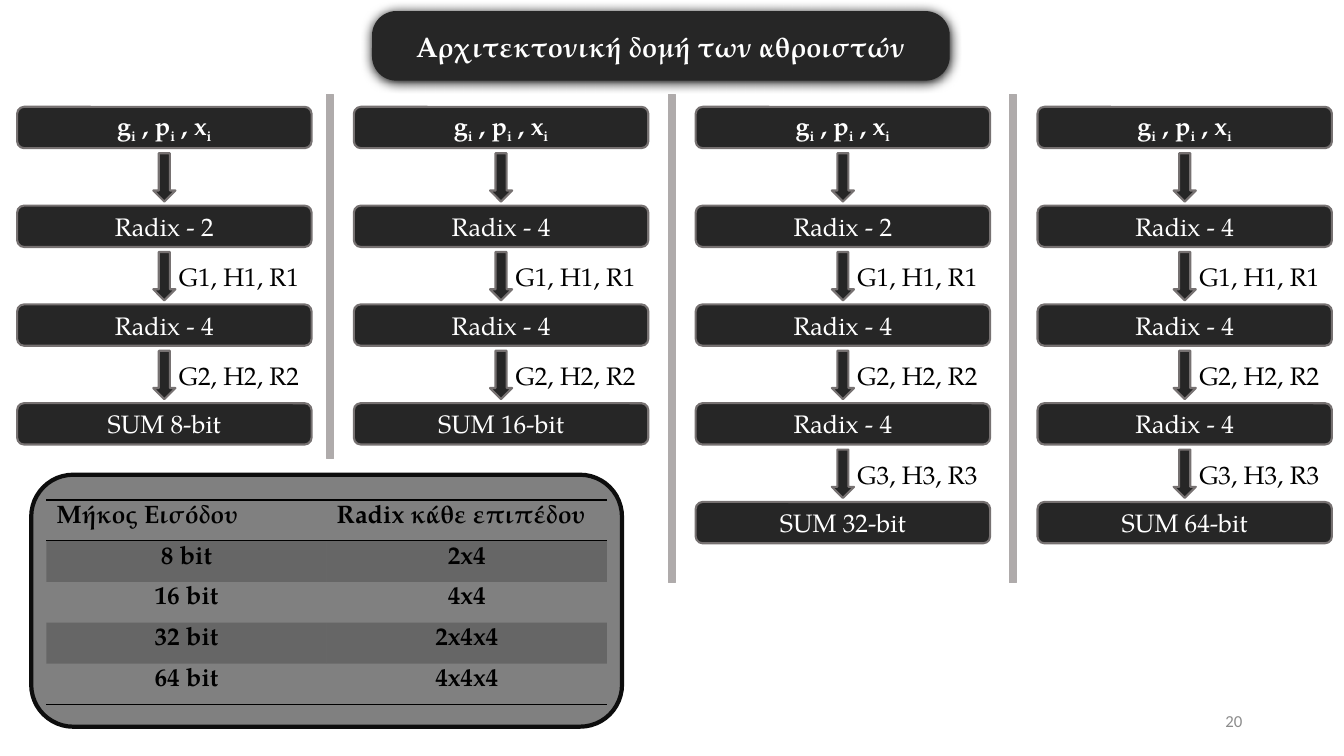
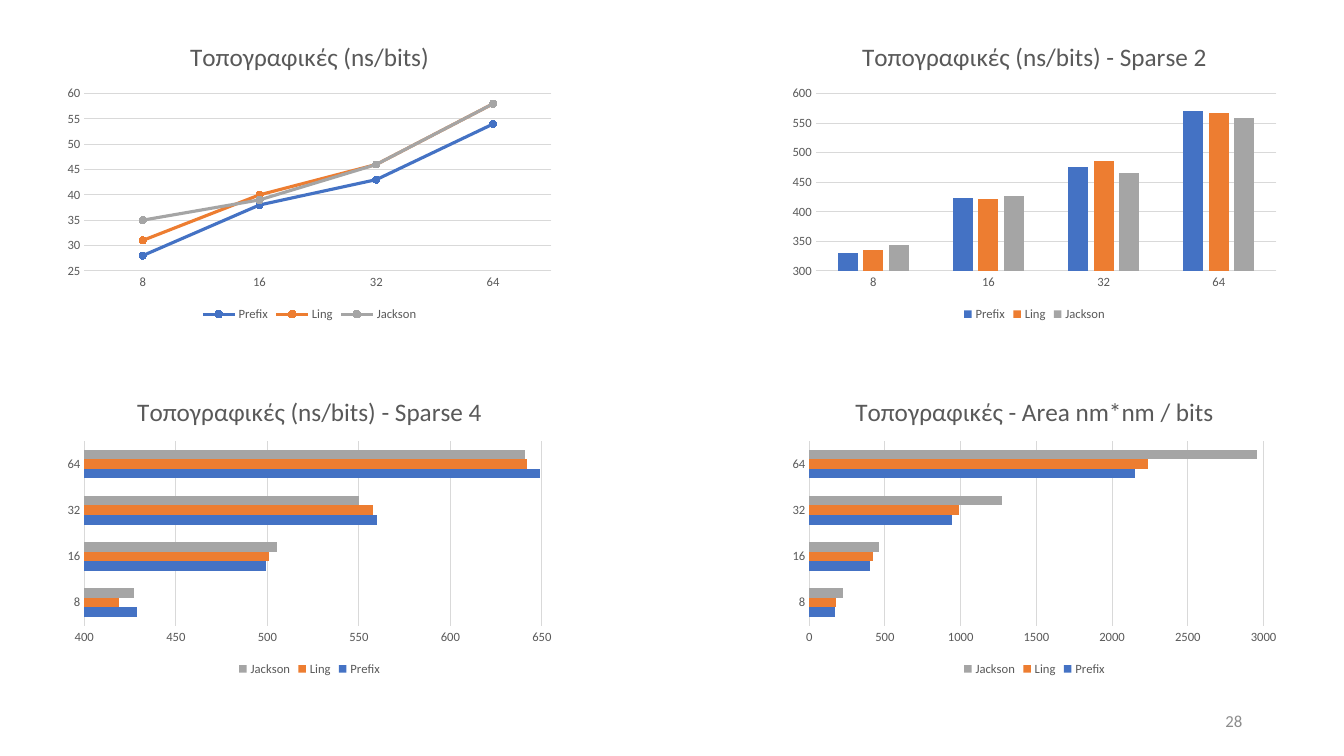
from lxml import etree
from pptx import Presentation
from pptx.chart.data import CategoryChartData
from pptx.dml.color import RGBColor
from pptx.enum.chart import XL_CHART_TYPE, XL_LEGEND_POSITION, XL_MARKER_STYLE, XL_TICK_MARK
from pptx.enum.shapes import MSO_SHAPE
from pptx.enum.text import MSO_ANCHOR, PP_ALIGN
from pptx.oxml.ns import qn
from pptx.util import Pt

PX = 9144  # 100 px to the inch

ROUND_RECT, RECT, DOWN_ARROW = MSO_SHAPE.ROUNDED_RECTANGLE, MSO_SHAPE.RECTANGLE, MSO_SHAPE.DOWN_ARROW
LEFT, CENTER, RIGHT = PP_ALIGN.LEFT, PP_ALIGN.CENTER, PP_ALIGN.RIGHT
MIDDLE = MSO_ANCHOR.MIDDLE
LINE, COLUMN, BAR = (XL_CHART_TYPE.LINE_MARKERS, XL_CHART_TYPE.COLUMN_CLUSTERED,
                     XL_CHART_TYPE.BAR_CLUSTERED)
LEGEND_BOTTOM = XL_LEGEND_POSITION.BOTTOM
CIRCLE = XL_MARKER_STYLE.CIRCLE
NO_TICK = XL_TICK_MARK.NONE

NO_TABLE_STYLE = "{2D5ABB26-0587-4C30-8999-92F81FD0307C}"


def rgb(hex_color):
    return RGBColor.from_string(hex_color)


def px(*lengths):
    return [length * PX for length in lengths]


def set_font(font, size, color, name, bold=False):
    font.size, font.name, font.bold = Pt(size), name, bold
    font.color.rgb = rgb(color)


def set_fill(fill, color):
    fill.solid()
    fill.fore_color.rgb = rgb(color)


def set_line(line, color, width):
    line.color.rgb = rgb(color)
    line.width = Pt(width)


class Deck:
    SERIF, SANS = "TeX Gyre Pagella", "Calibri"
    DARK, WHITE, BLACK = "262626", "FFFFFF", "000000"
    EDGE, PANEL, PANEL_EDGE, DIVIDER = "767171", "808080", "0D0D0D", "AFABAB"
    CHART_TEXT, GRID, NUMBER = "595959", "D9D9D9", "8C8C8C"
    SERIES = ("4472C4", "ED7D31", "A5A5A5")

    def __init__(self, width, height):
        self.prs = Presentation()
        self.prs.slide_width, self.prs.slide_height = px(width, height)
        self.slide = None

    def new_slide(self, number):
        self.slide = self.prs.slides.add_slide(self.prs.slide_layouts[6])
        self.text(942, 695, 300, 40, str(number), 12, self.NUMBER, self.SANS, RIGHT)

    def put_text(self, frame, text, size, color, font=SERIF, align=CENTER, bold=False):
        """Fill a frame with one paragraph; text between underscores is subscript."""
        frame.word_wrap = True
        frame.vertical_anchor = MIDDLE
        paragraph = frame.paragraphs[0]
        paragraph.alignment = align
        set_font(paragraph.font, size, color, font, bold)
        for index, part in enumerate(text.split("_")):
            if part:
                run = paragraph.add_run()
                run.text = part
                if index % 2:
                    run._r.get_or_add_rPr().set("baseline", "-25000")

    def text(self, x, y, w, h, text, size, color, font=SERIF, align=CENTER):
        box = self.slide.shapes.add_textbox(*px(x, y, w, h))
        self.put_text(box.text_frame, text, size, color, font, align)

    def shape(self, kind, x, y, w, h, fill, edge=None, edge_width=1.5):
        shape = self.slide.shapes.add_shape(kind, *px(x, y, w, h))
        shape.shadow.inherit = False
        set_fill(shape.fill, fill)
        if edge:
            set_line(shape.line, edge, edge_width)
        else:
            shape.line.fill.background()
        return shape

    def title(self, x, y, w, h, text):
        banner = self.shape(ROUND_RECT, x, y, w, h, self.DARK)
        banner.adjustments[0] = 0.35
        self.put_text(banner.text_frame, text, 20, self.WHITE, bold=True)
        effects = banner._element.spPr.find(qn("a:effectLst"))
        shadow = etree.SubElement(effects, qn("a:outerShdw"), blurRad=str(Pt(8.5)),
                                  dist=str(Pt(1)), dir="5400000", algn="t", rotWithShape="0")
        etree.SubElement(shadow, qn("a:srgbClr"), val=self.BLACK)

    def stage(self, x, y, w, h, text, bold=False):
        box = self.shape(ROUND_RECT, x, y, w, h, self.DARK, self.EDGE)
        self.put_text(box.text_frame, text, 18, self.WHITE, bold=bold)

    def cell_border(self, cell, side):
        """Rule the top (T) or bottom (B) of a cell; call for the top first."""
        properties = cell._tc.get_or_add_tcPr()
        border = etree.Element(qn(f"a:ln{side}"), w=str(Pt(1)))
        fill = etree.SubElement(border, qn("a:solidFill"))
        etree.SubElement(fill, qn("a:srgbClr"), val=self.BLACK)
        properties.insert(len(properties.findall(qn("a:lnT"))), border)

    def table(self, x, y, w, h, rows):
        """Header ruled above and below, odd rows shaded, last row ruled below."""
        frame = self.slide.shapes.add_table(len(rows), len(rows[0]), *px(x, y, w, h))
        table = frame.table
        table.first_row = table.horz_banding = False
        table._tbl.tblPr.find(qn("a:tableStyleId")).text = NO_TABLE_STYLE
        for r, row in enumerate(rows):
            for c, value in enumerate(row):
                cell = table.cell(r, c)
                paragraph = cell.text_frame.paragraphs[0]
                paragraph.text = value
                paragraph.alignment = CENTER if r else LEFT
                set_font(paragraph.font, 18, self.BLACK, self.SERIF, True)
                if r % 2:
                    set_fill(cell.fill, self.BLACK)
                    shade = cell._tc.tcPr.find(".//" + qn("a:srgbClr"))
                    etree.SubElement(shade, qn("a:alpha"), val="20000")
                else:
                    cell.fill.background()
                if r == 0:
                    self.cell_border(cell, "T")
                if r in (0, len(rows) - 1):
                    self.cell_border(cell, "B")

    def chart(self, kind, x, y, w, h, title, categories, series, scale, gap=None, overlap=0):
        """Draw a chart; scale is the value axis minimum, maximum and step."""
        data = CategoryChartData()
        data.categories = categories
        for name, values in series.items():
            data.add_series(name, values)
        chart = self.slide.shapes.add_chart(kind, *px(x, y, w, h), data).chart
        set_font(chart.font, 10, self.BLACK, self.SANS)

        chart.has_title = True
        heading = chart.chart_title.text_frame.paragraphs[0]
        heading.text = title
        set_font(heading.font, 18, self.CHART_TEXT, self.SANS)

        chart.has_legend = True
        chart.legend.position = LEGEND_BOTTOM
        chart.legend.include_in_layout = False
        set_font(chart.legend.font, 9, self.CHART_TEXT, self.SANS)

        category_axis, value_axis = chart.category_axis, chart.value_axis
        for axis in (category_axis, value_axis):
            axis.major_tick_mark = axis.minor_tick_mark = NO_TICK
            set_font(axis.tick_labels.font, 9, self.CHART_TEXT, self.SANS)
        set_line(category_axis.format.line, self.GRID, 0.75)
        value_axis.format.line.fill.background()
        value_axis.has_major_gridlines = True
        set_line(value_axis.major_gridlines.format.line, self.GRID, 0.75)
        value_axis.minimum_scale, value_axis.maximum_scale, value_axis.major_unit = scale

        plot = chart.plots[0]
        plot.vary_by_categories = False
        if gap is not None:
            plot.gap_width, plot.overlap = gap, overlap
        for plotted, color in zip(plot.series, self.SERIES):
            if kind == LINE:
                plotted.smooth = False
                set_line(plotted.format.line, color, 2.25)
                marker = plotted.marker
                marker.style, marker.size = CIRCLE, 5
                set_line(marker.format.line, color, 0.75)
                set_fill(marker.format.fill, color)
            else:
                set_fill(plotted.format.fill, color)


def adder_structure(deck):
    deck.new_slide(20)
    deck.shape(ROUND_RECT, 31, 471, 586, 250, deck.PANEL, deck.PANEL_EDGE, 3)
    deck.title(369, 11, 573, 69, "Αρχιτεκτονική δομή των αθροιστών")
    for x, height in ((324, 361), (663, 484), (1001, 484)):
        deck.shape(RECT, x, 94, 7, height, deck.DIVIDER, deck.DIVIDER, 1)

    stage_top, stage_step, stage_width, stage_height = 106, 98, 292, 41
    arrow_width = 22
    adders = ((17, 8, (2, 4)), (351, 16, (4, 4)), (690, 32, (2, 4, 4)), (1029, 64, (4, 4, 4)))
    for left, bits, radices in adders:
        stages = ["g_i_ , p_i_ , x_i_", *(f"Radix - {radix}" for radix in radices), f"SUM {bits}-bit"]
        for level, stage in enumerate(stages):
            top = stage_top + level * stage_step
            deck.stage(left, top, stage_width, stage_height, stage, bold=level == 0)
            if level <= len(radices):
                deck.shape(DOWN_ARROW, left + (stage_width - arrow_width) // 2, top + 46,
                           arrow_width, 48, deck.DARK, deck.EDGE)
            if 0 < level <= len(radices):
                deck.text(left + 145, top + 53, 150, 35,
                          f"G{level}, H{level}, R{level}", 18, deck.BLACK)

    levels = [(f"{bits} bit", "x".join(map(str, radices))) for _, bits, radices in adders]
    deck.table(46, 496, 556, 203, [("Μήκος Εισόδου", "Radix κάθε επιπέδου"), *levels])


def measurements(deck):
    deck.new_slide(28)
    adder_names = ("Prefix", "Ling", "Jackson")
    charts = (
        (LINE, "Τοπογραφικές (ns/bits)", (25, 60, 5), None, 0,
         ((28, 38, 43, 54), (31, 40, 46, 58), (35, 39, 46, 58))),
        (COLUMN, "Τοπογραφικές (ns/bits) - Sparse 2", (300, 600, 50), 219, -27,
         ((330, 423, 476, 571), (335, 421, 486, 567), (343, 426, 465, 559))),
        (BAR, "Τοπογραφικές (ns/bits) - Sparse 4", (400, 650, 50), 182, 0,
         ((429, 499, 560, 649), (419, 501, 558, 642), (427, 505, 550, 641))),
        (BAR, "Τοπογραφικές - Area nm*nm / bits", (0, 3000, 500), 182, 0,
         ((170, 400, 940, 2150), (180, 420, 990, 2240), (220, 460, 1270, 2960))),
    )
    for index, (kind, title, scale, gap, overlap, values) in enumerate(charts):
        row, column = divmod(index, 2)
        deck.chart(kind, 57 + column * 719, 23 + row * 352, 500, 300, title,
                   ("8", "16", "32", "64"), dict(zip(adder_names, values)), scale, gap, overlap)


def main():
    deck = Deck(1333, 750)
    adder_structure(deck)
    measurements(deck)
    deck.prs.save("out.pptx")


if __name__ == "__main__":
    main()
